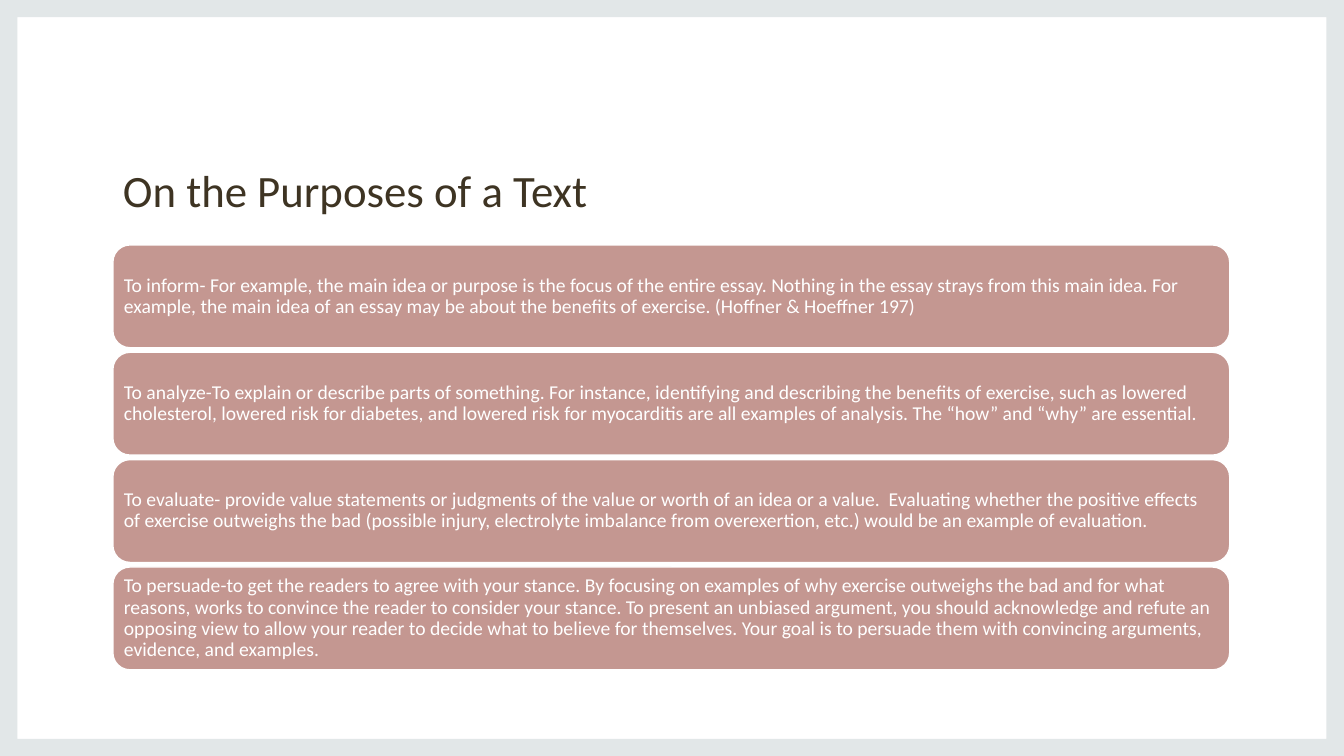
from pptx import Presentation
from pptx.dml.color import RGBColor
from pptx.enum.shapes import MSO_SHAPE
from pptx.enum.text import MSO_ANCHOR, MSO_AUTO_SIZE, PP_ALIGN
from pptx.util import Inches, Pt

COLORS = {"paper": "FFFFFF", "border": "E2E7E8", "heading": "3E3423", "card": "C49791"}

PURPOSES = [
    "To inform- For example, the main idea or purpose is the focus of the entire essay. "
    "Nothing in the essay strays from this main idea. For example, the main idea of an essay "
    "may be about the benefits of exercise. (Hoffner & Hoeffner 197)",
    "To analyze-To explain or describe parts of something. For instance, identifying and "
    "describing the benefits of exercise, such as lowered cholesterol, lowered risk for "
    "diabetes, and lowered risk for myocarditis are all examples of analysis. "
    "The “how” and “why” are essential.",
    "To evaluate- provide value statements or judgments of the value or worth of an idea or "
    "a value.  Evaluating whether the positive effects of exercise outweighs the bad (possible "
    "injury, electrolyte imbalance from overexertion, etc.) would be an example of evaluation.",
    "To persuade-to get the readers to agree with your stance. By focusing on examples of why "
    "exercise outweighs the bad and for what reasons, works to convince the reader to consider "
    "your stance. To present an unbiased argument, you should acknowledge and refute an opposing "
    "view to allow your reader to decide what to believe for themselves. Your goal is to persuade "
    "them with convincing arguments, evidence, and examples.",
]

# Percent of the slide's width (left, width) and height (the rest)
CONTENT_LEFT, CONTENT_WIDTH = 8.4, 83.1
TITLE_TOP, TITLE_HEIGHT = 10.5, 18.8
CARDS_TOP, CARD_HEIGHT, CARD_PITCH = 32.4, 13.6, 14.2


class PurposeSlide:
    """Draws on one slide, with positions given in percent of its size."""

    font_name = "Calibri"

    def __init__(self, deck):
        self.width, self.height = deck.slide_width, deck.slide_height
        self.slide = deck.slides.add_slide(deck.slide_layouts[5])
        self.paint(self.slide.background.fill, "paper")

    def x(self, percent):
        return round(self.width * percent / 100)

    def y(self, percent):
        return round(self.height * percent / 100)

    def box(self, left, top, width, height):
        return self.x(left), self.y(top), self.x(width), self.y(height)

    def paint(self, fill, color):
        fill.solid()
        fill.fore_color.rgb = RGBColor.from_string(COLORS[color])

    def set_text(self, frame, text, size, color, spacing):
        frame.text = text
        frame.word_wrap = True
        paragraph = frame.paragraphs[0]
        paragraph.alignment = PP_ALIGN.LEFT
        paragraph.line_spacing = spacing
        paragraph.font.name = self.font_name
        paragraph.font.size = Pt(size)
        paragraph.font.color.rgb = RGBColor.from_string(COLORS[color])

    def border(self, side, edge):
        """Frame the slide, side and edge being the band's share of width and height."""
        inner = [(side, edge), (side, 100 - edge), (100 - side, 100 - edge), (100 - side, edge)]
        outer = [(0, 0), (100, 0), (100, 100), (0, 100)]
        inner, outer = ([(self.x(h), self.y(v)) for h, v in ring] for ring in (inner, outer))
        builder = self.slide.shapes.build_freeform(*inner[0])
        builder.add_line_segments(inner[1:], close=True)
        builder.move_to(*outer[0])
        builder.add_line_segments(outer[1:], close=True)
        band = builder.convert_to_shape()
        band.shadow.inherit = False
        self.paint(band.fill, "border")
        band.line.fill.background()

    def title(self, text, *place):
        heading = self.slide.shapes.title
        heading.left, heading.top, heading.width, heading.height = self.box(*place)
        frame = heading.text_frame
        self.set_text(frame, text, 32, "heading", 1.1)
        frame.auto_size = MSO_AUTO_SIZE.NONE
        frame.vertical_anchor = MSO_ANCHOR.BOTTOM

    def card(self, text, *place):
        card = self.slide.shapes.add_shape(MSO_SHAPE.ROUNDED_RECTANGLE, *self.box(*place))
        card.shadow.inherit = False
        self.paint(card.fill, "card")
        self.paint(card.line.fill, "paper")
        card.line.width = Pt(1)
        frame = card.text_frame
        self.set_text(frame, text, 14, "paper", 0.9)
        frame.vertical_anchor = MSO_ANCHOR.MIDDLE
        frame.margin_left = frame.margin_right = Inches(0.06)
        frame.margin_top = frame.margin_bottom = Inches(0.06)


def main():
    deck = Presentation()
    deck.slide_width, deck.slide_height = Inches(13.33), Inches(7.5)
    page = PurposeSlide(deck)
    page.border(1.3, 2.27)
    page.title("On the Purposes of a Text", CONTENT_LEFT, TITLE_TOP, CONTENT_WIDTH, TITLE_HEIGHT)
    for row, purpose in enumerate(PURPOSES):
        page.card(purpose, CONTENT_LEFT, CARDS_TOP + row * CARD_PITCH, CONTENT_WIDTH, CARD_HEIGHT)
    deck.save("out.pptx")


if __name__ == "__main__":
    main()
